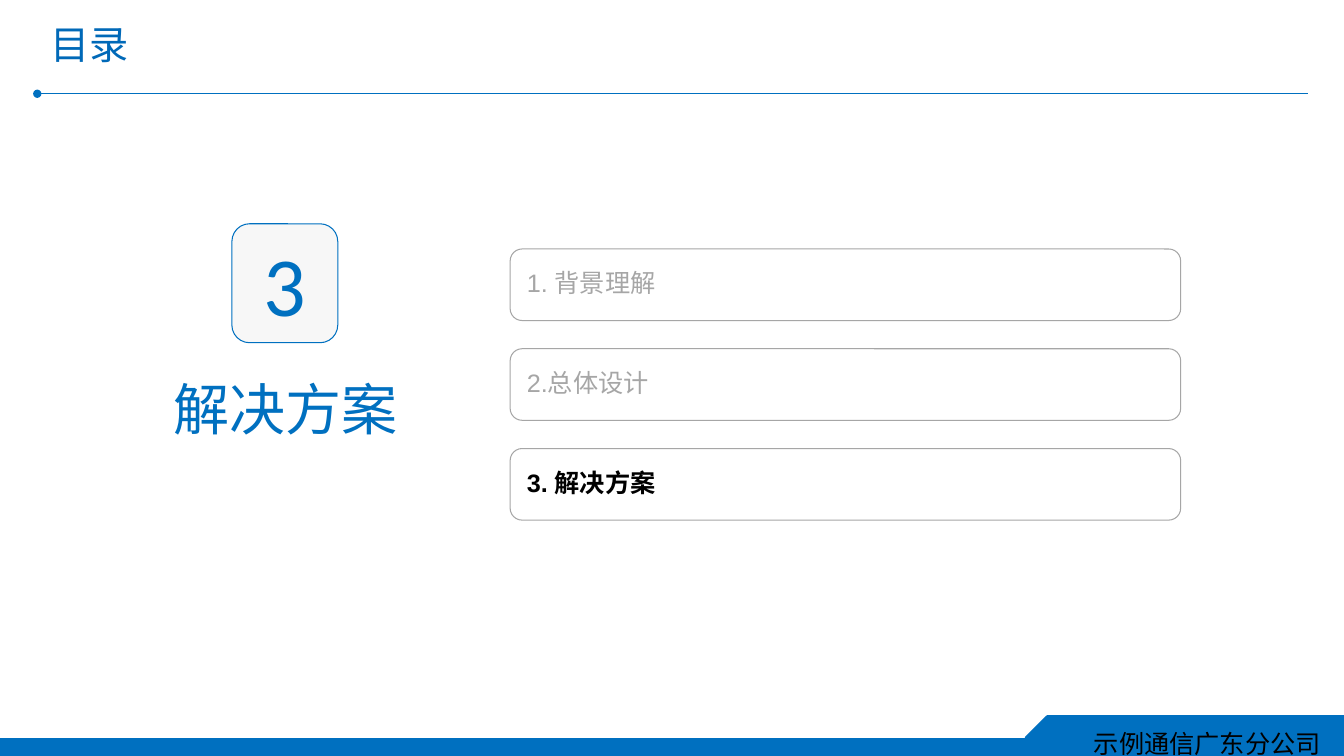
import pptx
import pptx.dml.color
import pptx.enum.shapes
import pptx.enum.text
import pptx.oxml
import pptx.oxml.ns
import pptx.util

Inches = pptx.util.Inches
Pt = pptx.util.Pt
RGBColor = pptx.dml.color.RGBColor
MSO_SHAPE = pptx.enum.shapes.MSO_SHAPE
PP_ALIGN = pptx.enum.text.PP_ALIGN

BLUE = RGBColor(0x00, 0x70, 0xC0)
TITLE_BLUE = RGBColor(0x00, 0x69, 0xB8)
PALE = RGBColor(0xF7, 0xF7, 0xF7)
GRAY = RGBColor(0xA6, 0xA6, 0xA6)
BLACK = RGBColor(0x00, 0x00, 0x00)

CJK_FONT = "Noto Sans CJK SC"
AGENDA = ["1. 背景理解", "2.总体设计", "3. 解决方案"]
CURRENT = 2


def add_child(parent, tag, **attrs):
    child = pptx.oxml.parse_xml(
        f'<a:{tag} {pptx.oxml.ns.nsdecls("a")}/>')
    for name, value in attrs.items():
        child.set(name, value)
    parent.append(child)


def set_text(sp, text, size, color, font="Arial", align=PP_ALIGN.LEFT,
             bold=False, spacing=1.0, margins=(0.13, 0.07), wrap=True):
    """Write one vertically centred paragraph; margins are (side, top)."""
    tf = sp.text_frame
    tf.word_wrap = wrap
    tf.vertical_anchor = pptx.enum.text.MSO_ANCHOR.MIDDLE
    tf.margin_left = tf.margin_right = Inches(margins[0])
    tf.margin_top = tf.margin_bottom = Inches(margins[1])
    tf.text = text
    p = tf.paragraphs[0]
    p.alignment = align
    p.line_spacing = spacing
    for r in p.runs:
        r.font.size = Pt(size)
        r.font.bold = bold
        r.font.color.rgb = color
        r.font.name = font
        add_child(r.font._element, "ea", typeface=CJK_FONT)


def add_box(s, kind, left, top, width, height, line, line_width, fill=None):
    sp = s.shapes.add_shape(kind, Inches(left), Inches(top),
                            Inches(width), Inches(height))
    sp.shadow.inherit = False
    if fill is None:
        sp.fill.background()
    else:
        sp.fill.solid()
        sp.fill.fore_color.rgb = fill
    sp.line.color.rgb = line
    sp.line.width = Pt(line_width)
    return sp


def add_label(s, left, top, width, height, text, size, color, **style):
    sp = s.shapes.add_textbox(Inches(left), Inches(top),
                              Inches(width), Inches(height))
    set_text(sp, text, size, color, **style)


def add_title_rule(s):
    rule = s.shapes.add_connector(
        pptx.enum.shapes.MSO_CONNECTOR.STRAIGHT,
        Inches(0.37), Inches(0.93), Inches(12.97), Inches(0.93))
    rule.line.color.rgb = BLUE
    rule.line.width = Pt(0.5)
    add_child(rule.line._get_or_add_ln(), "headEnd", type="oval")
    add_child(rule._element.spPr, "effectLst")


def add_footer(s):
    tab = add_box(s, MSO_SHAPE.SNIP_1_RECTANGLE, 10.18, 7.11, 3.16, 0.42,
                  BLUE, 2.25, BLUE)
    tab.adjustments[0] = 0.5
    tab._element.spPr.xfrm.set("flipH", "1")
    set_text(tab, "示例通信广东分公司", 18, BLACK, font="Calibri",
             align=PP_ALIGN.RIGHT)
    tab.text_frame.margin_right = Inches(0.24)
    add_box(s, MSO_SHAPE.RECTANGLE, 0, 7.33, 10.76, 0.19, BLUE, 1, BLUE)


def add_section_badge(s):
    badge = add_box(s, MSO_SHAPE.ROUNDED_RECTANGLE, 2.3, 2.22, 1.05, 1.18,
                    BLUE, 0.75, PALE)
    set_text(badge, "3", 60, BLUE, font="Calibri", align=PP_ALIGN.CENTER,
             margins=(0.07, 0.04))
    add_label(s, 1.63, 3.34, 2.4, 1.09, "解决方案", 40, BLUE, font=CJK_FONT,
              align=PP_ALIGN.CENTER, spacing=1.5, margins=(0.07, 0.04),
              wrap=False)


def add_agenda(s):
    for i, item in enumerate(AGENDA):
        sp = add_box(s, MSO_SHAPE.ROUNDED_RECTANGLE, 5.06, 2.47 + 0.99 * i,
                     6.65, 0.71, GRAY, 0.75)
        active = i == CURRENT
        set_text(sp, item, 18, BLACK if active else GRAY, bold=active,
                 spacing=0.9)


def main():
    prs = pptx.Presentation()
    prs.slide_width = Inches(13.33)
    prs.slide_height = Inches(7.5)
    s = prs.slides.add_slide(prs.slide_layouts[6])
    add_footer(s)
    add_title_rule(s)
    add_label(s, 0.37, 0, 12.61, 0.93, "目录", 28, TITLE_BLUE, spacing=0.9)
    add_section_badge(s)
    add_agenda(s)
    prs.save("out.pptx")


if __name__ == "__main__":
    main()
